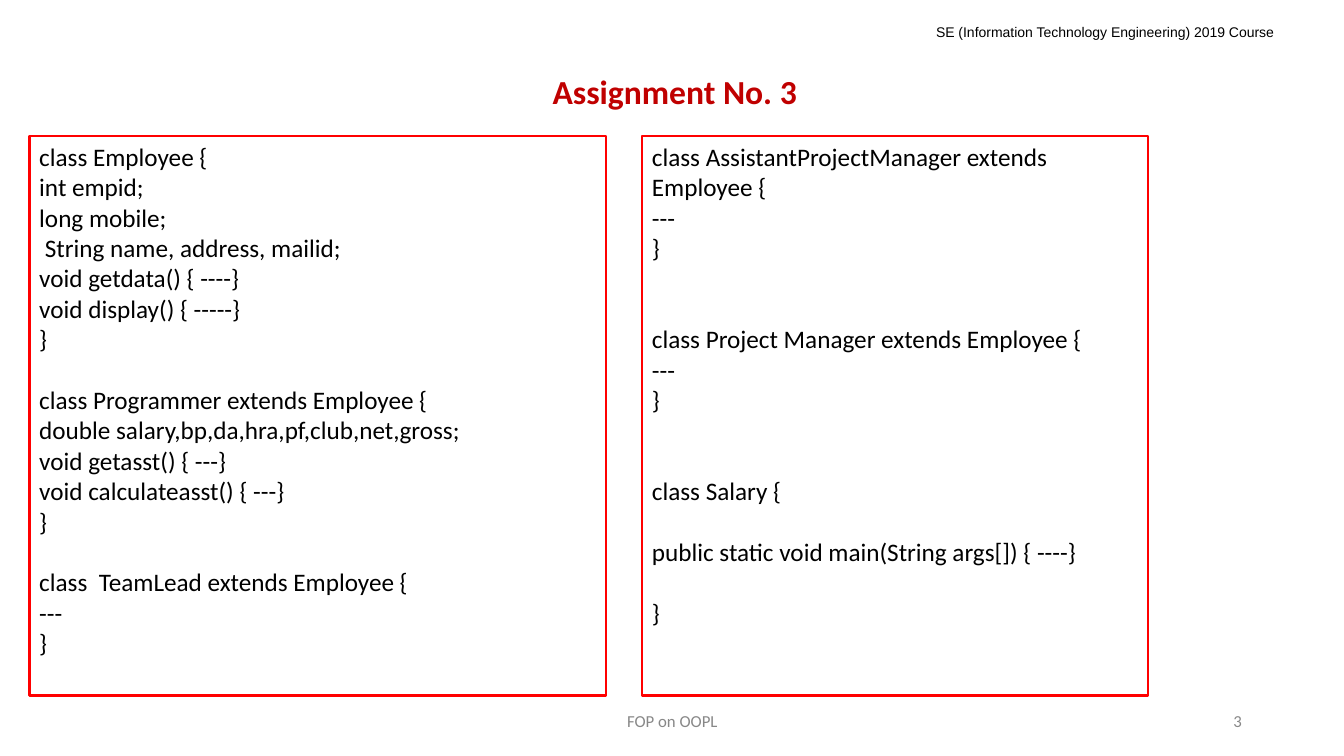
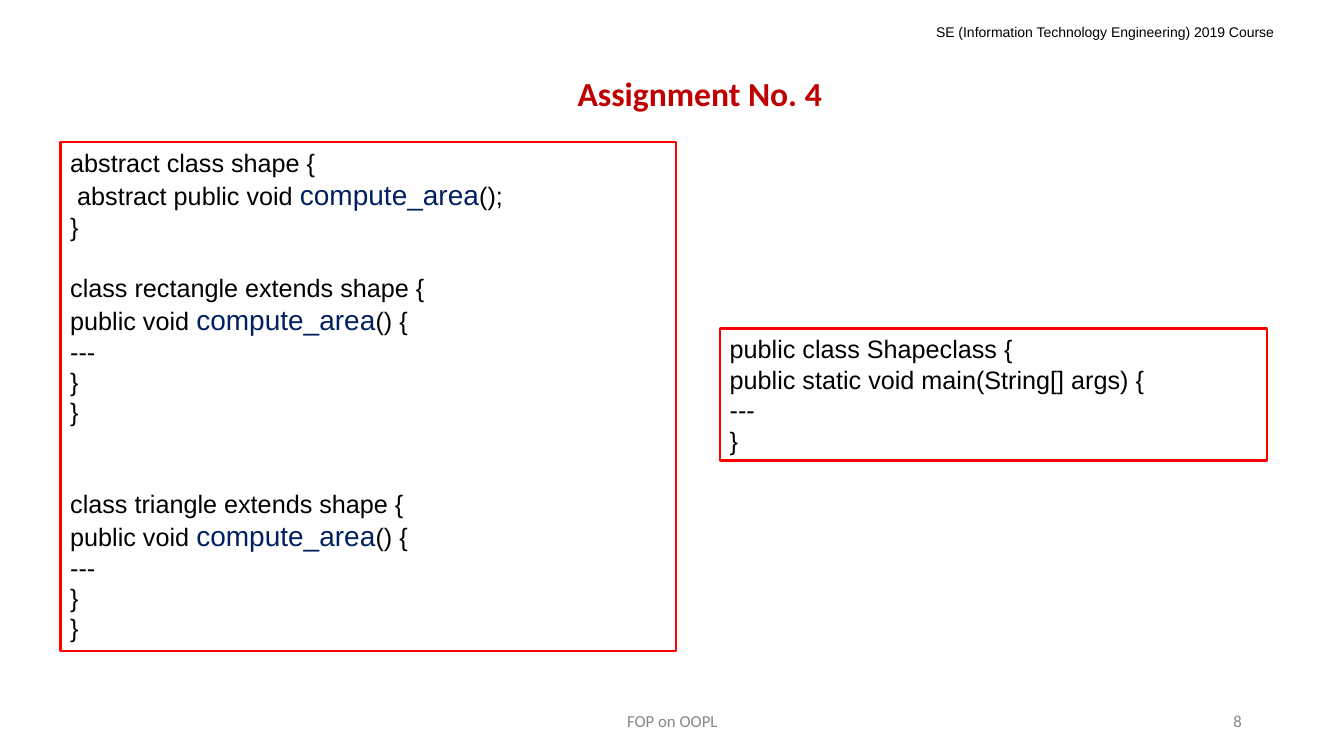
from pptx import Presentation
from pptx.dml.color import RGBColor
from pptx.enum.shapes import MSO_SHAPE as Shape
from pptx.enum.text import MSO_ANCHOR as Anchor, MSO_AUTO_SIZE as AutoSize, PP_ALIGN as Align
from pptx.util import Cm, Pt

TITLE_RED, FRAME_RED = "C00000", "FF0000"
BLACK, NAVY, GREY = "000000", "002060", "888888"
HIGHLIGHT = "compute_area"
LINE_PITCH, HIGHLIGHT_PITCH = 21.7, 24

# Boxes are left, top, width, height in centimetres
HEADER_BOX = (23.34, 0.46, 9.6, 0.69)
FOOTER_BOX = (11.23, 17.65, 11.43, 1.02)
NUMBER_BOX = (23.93, 17.65, 7.62, 1.02)


def color(hex_string):
    return RGBColor.from_string(hex_string)


def lengths(box):
    return [Cm(value) for value in box]


def add_run(paragraph, text, font, size, hex_string, bold=False):
    run = paragraph.add_run()
    run.text = text
    run.font.name = font
    run.font.size = Pt(size)
    run.font.bold = bold
    run.font.color.rgb = color(hex_string)


def prepare_frame(shape, anchor=Anchor.TOP):
    frame = shape.text_frame
    frame.word_wrap = True
    frame.auto_size = AutoSize.NONE
    frame.vertical_anchor = anchor
    return frame


def add_label(slide, box, text, font, size, hex_string, align, anchor):
    frame = prepare_frame(slide.shapes.add_textbox(*lengths(box)), anchor)
    paragraph = frame.paragraphs[0]
    paragraph.alignment = align
    add_run(paragraph, text, font, size, hex_string)


def set_title(slide, box, text):
    title = slide.shapes.title
    title.left, title.top, title.width, title.height = lengths(box)
    paragraph = prepare_frame(title).paragraphs[0]
    paragraph.alignment = Align.CENTER
    add_run(paragraph, text, "Calibri", 24, TITLE_RED, bold=True)


def add_code_line(paragraph, line, font):
    before, name, after = line.partition(HIGHLIGHT)
    paragraph.alignment = Align.LEFT
    paragraph.line_spacing = Pt(HIGHLIGHT_PITCH if name else LINE_PITCH)
    for text, size, hex_string in ((before, 18, BLACK), (name, 20, NAVY), (after, 18, BLACK)):
        if text:
            add_run(paragraph, text, font, size, hex_string)


def add_code_box(slide, box, font, blocks):
    """Each block is the number of lines left free above it, then its code."""
    panel = slide.shapes.add_shape(Shape.RECTANGLE, *lengths(box))
    panel.shadow.inherit = False
    panel.fill.background()
    panel.line.color.rgb = color(FRAME_RED)
    panel.line.width = Pt(1.75)
    frame = prepare_frame(panel)
    paragraph = frame.paragraphs[0]
    for block_index, (gap, lines) in enumerate(blocks):
        for line_index, line in enumerate(lines):
            if block_index or line_index:
                paragraph = frame.add_paragraph()
            if gap and line_index == 0:
                paragraph.space_before = Pt(gap * LINE_PITCH)
            add_code_line(paragraph, line, font)


def add_assignment_slide(presentation, title_box, title, number, font, code_boxes):
    slide = presentation.slides.add_slide(presentation.slide_layouts[5])
    set_title(slide, title_box, title)
    for box, blocks in code_boxes:
        add_code_box(slide, box, font, blocks)
    # Footer, slide number and course header
    add_label(slide, FOOTER_BOX, "FOP on OOPL", "Calibri", 12, GREY, Align.CENTER, Anchor.MIDDLE)
    add_label(slide, NUMBER_BOX, number, "Calibri", 12, GREY, Align.RIGHT, Anchor.MIDDLE)
    add_label(slide, HEADER_BOX, "SE (Information Technology Engineering) 2019 Course",
              "Arial", 10, BLACK, Align.LEFT, Anchor.TOP)


# Code shown on the slides
employee_classes = [
    (0, ["class Employee {", "int empid;", "long mobile;", " String name, address, mailid;",
         "void getdata() { ----}", "void display() { -----}", "}"]),
    (1, ["class Programmer extends Employee {", "double salary,bp,da,hra,pf,club,net,gross;",
         "void getasst() { ---}", "void calculateasst() { ---}", "}"]),
    (1, ["class  TeamLead extends Employee {", "---", "}"]),
]
manager_classes = [
    (0, ["class AssistantProjectManager extends Employee {", "---", "}"]),
    (2, ["class Project Manager extends Employee {", "---", "}"]),
    (2, ["class Salary {"]),
    (1, ["public static void main(String args[]) { ----}"]),
    (1, ["}"]),
]
area_method = ["public void compute_area() {", "---", "}", "}"]
shape_classes = [
    (0, ["abstract class shape {", " abstract public void compute_area();", "}"]),
    (1, ["class rectangle extends shape {"] + area_method),
    (2, ["class triangle extends shape {"] + area_method),
]
main_class = [
    (0, ["public class Shapeclass {", "public static void main(String[] args) {", "---", "}"]),
]

presentation = Presentation()
presentation.slide_width, presentation.slide_height = Cm(33.87), Cm(19.05)
add_assignment_slide(presentation, (13.54, 1.65, 6.93, 1.27), "Assignment No. 3", "3", "Calibri", [
    ((16.18, 3.43, 12.75, 14.1), manager_classes),
    ((0.74, 3.43, 14.53, 14.1), employee_classes),
])
add_assignment_slide(presentation, (14.17, 1.7, 6.93, 1.27), "Assignment No. 4", "8", "Arial", [
    ((18.14, 8.28, 13.79, 3.33), main_class),
    ((1.52, 3.58, 15.52, 12.83), shape_classes),
])
presentation.save("out.pptx")
